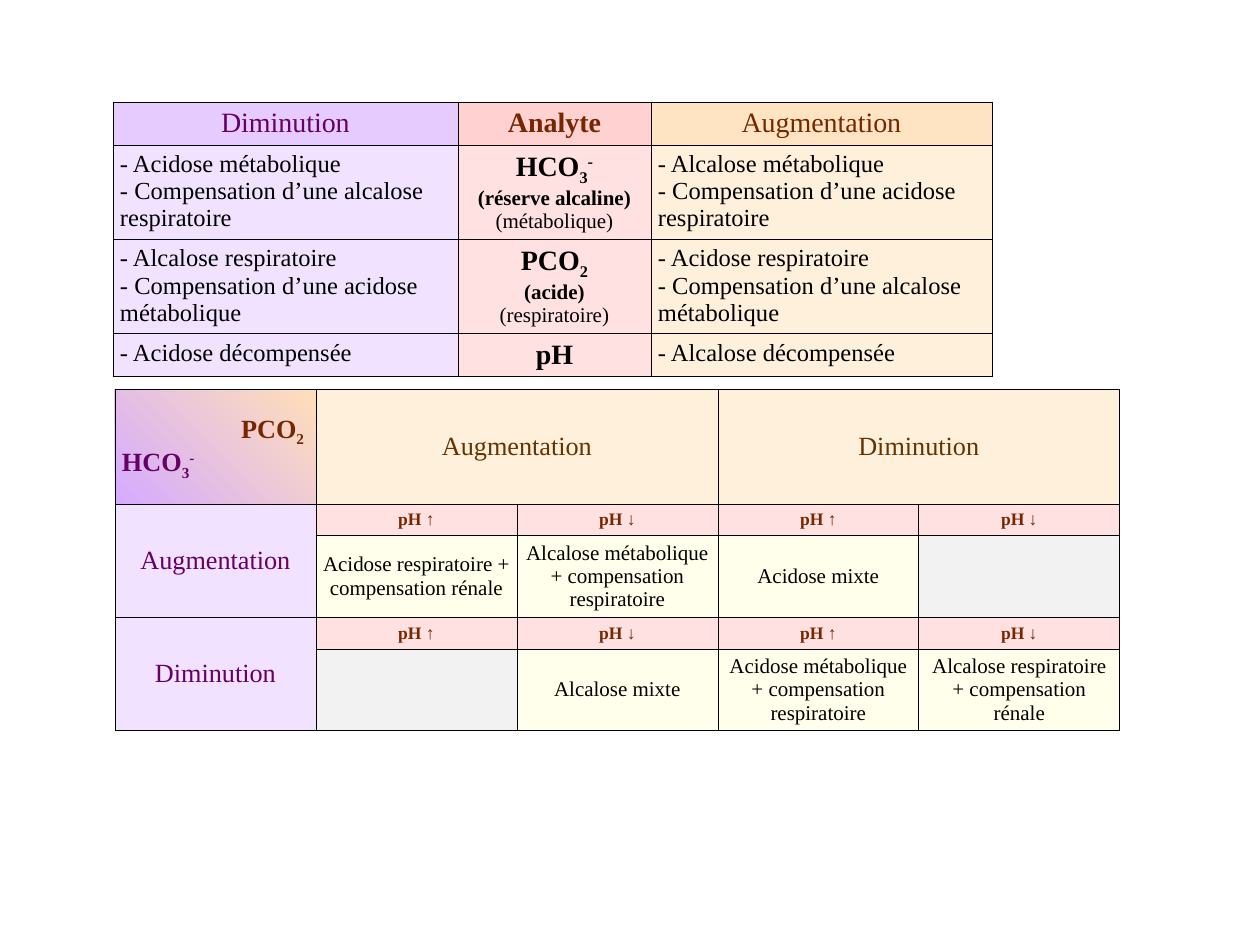
from lxml import etree
from pptx import Presentation
from pptx.dml.color import RGBColor
from pptx.enum.text import MSO_ANCHOR, PP_ALIGN
from pptx.oxml.ns import qn
from pptx.util import Emu, Pt

LEFT, CENTER, RIGHT = PP_ALIGN.LEFT, PP_ALIGN.CENTER, PP_ALIGN.RIGHT
TOP, MIDDLE = MSO_ANCHOR.TOP, MSO_ANCHOR.MIDDLE
SUB, SUPER = -25000, 30000
COLORS = {
    "black": "000000", "purple": "660066", "rust": "762700", "brown": "663300",
    "violet_head": "E5CBFF", "violet": "F1E3FF", "pink_head": "FFD1D1",
    "pink": "FFE1E1", "orange_head": "FFE4C3", "orange": "FFF0DB",
    "cream": "FFFFEB", "gray": "F2F2F2", "violet_deep": "D5ABFF", "orange_deep": "FFDFB9",
}


def px(count):
    """Turn whole pixels into EMU."""
    return Emu(round(count * 914400 / 126))


def rgb(name):
    """Look up a named colour."""
    return RGBColor.from_string(COLORS[name])


def add_span(para, text, size=14, color="black", bold=False, font="Times New Roman", baseline=0):
    """Add a formatted piece of text to a paragraph."""
    span = para.add_run()
    span.text = text
    span.font.size = Pt(size)
    span.font.bold = bold
    span.font.name = font
    span.font.color.rgb = rgb(color)
    if baseline:
        span.font._element.set("baseline", str(baseline))


class Page:
    """Hold the table style and the current slide."""

    def __init__(self, deck):
        """Add a blank slide to the deck."""
        self.slide = deck.slides.add_slide(deck.slide_layouts[6])
        self.side_margin, self.end_margin, self.border = 7, 6, Pt(0.45)

    def table(self, left, top, columns, rows):
        """Add a plain bordered table."""
        frame = self.slide.shapes.add_table(
            len(rows), len(columns), px(left), px(top), px(sum(columns)), px(sum(rows)))
        table = frame.table
        table.first_row = table.horz_banding = False
        for column, width in zip(table.columns, columns):
            column.width = px(width)
        for row, height in zip(table.rows, rows):
            row.height = px(height)
        for cell in table.iter_cells():
            cell.margin_left = cell.margin_right = px(self.side_margin)
            cell.margin_top = cell.margin_bottom = px(self.end_margin)
            self.outline(cell)
        return table

    def outline(self, cell):
        """Draw the four borders of a cell."""
        properties = cell._tc.get_or_add_tcPr()
        for side in ("a:lnL", "a:lnR", "a:lnT", "a:lnB"):
            line = etree.SubElement(properties, qn(side), w=str(self.border))
            fill = etree.SubElement(line, qn("a:solidFill"))
            etree.SubElement(fill, qn("a:srgbClr"), val=COLORS["black"])

    def cell(self, cell, fill, *paragraphs, align=CENTER, anchor=MIDDLE, **style):
        """Fill a cell with paragraphs given as text or as (text, format) spans."""
        cell.fill.solid()
        cell.fill.fore_color.rgb = rgb(fill)
        cell.vertical_anchor = anchor
        for index, spans in enumerate(paragraphs):
            para = cell.text_frame.paragraphs[0] if index == 0 else cell.text_frame.add_paragraph()
            para.alignment = align
            for text, changes in [(spans, {})] if isinstance(spans, str) else spans:
                add_span(para, text, **{**style, **changes})

    def gradient(self, cell, start, end, angle):
        """Give a cell a two-colour gradient."""
        cell.fill.gradient()
        cell.fill.gradient_angle = angle
        for stop, name in zip(cell.fill.gradient_stops, (start, end)):
            stop.color.rgb = rgb(name)


def formula(base, subscript, superscript=""):
    """Return the spans of a chemical formula."""
    spans = [(base, {}), (subscript, {"baseline": SUB})]
    return spans + [(superscript, {"baseline": SUPER})] if superscript else spans


def add_analytes(page):
    """Build the table of causes by analyte."""
    table = page.table(113, 102, [345, 193, 341], [34, 88, 88, 34])
    headings = [
        ("Diminution", "violet_head", "purple", False),
        ("Analyte", "pink_head", "rust", True),
        ("Augmentation", "orange_head", "rust", False),
    ]
    for column, (text, fill, color, bold) in enumerate(headings):
        page.cell(table.cell(0, column), fill, text, size=16, color=color, bold=bold)
    analytes = [
        (formula("HCO", "3", "-"), ["(réserve alcaline)", "(métabolique)"],
         ["- Acidose métabolique", "- Compensation d’une alcalose respiratoire"],
         ["- Alcalose métabolique", "- Compensation d’une acidose respiratoire"]),
        (formula("PCO", "2"), ["(acide)", "(respiratoire)"],
         ["- Alcalose respiratoire", "- Compensation d’une acidose métabolique"],
         ["- Acidose respiratoire", "- Compensation d’une alcalose métabolique"]),
        ("pH", [], ["- Acidose décompensée"], ["- Alcalose décompensée"]),
    ]
    for row, (name, notes, lower, higher) in enumerate(analytes, 1):
        details = [[(note, {"size": 12, "bold": index == 0})] for index, note in enumerate(notes)]
        page.cell(table.cell(row, 0), "violet", *lower, align=LEFT, anchor=TOP)
        page.cell(table.cell(row, 1), "pink", name, *details, size=16, bold=True)
        page.cell(table.cell(row, 2), "orange", *higher, align=LEFT, anchor=TOP)


def add_disorders(page):
    """Build the table that crosses HCO3 with PCO2."""
    table = page.table(115, 389, [201] * 5, [115, 20, 79, 20, 78])
    corner = table.cell(0, 0)
    page.cell(corner, "violet",
              [(text, {**changes, "color": "rust"}) for text, changes in formula("PCO", "2")],
              formula("HCO", "3", "-"),
              align=LEFT, anchor=TOP, size=15, bold=True, color="purple")
    corner.text_frame.paragraphs[0].alignment = RIGHT
    corner.margin_top, corner.margin_right = px(26), px(12)
    page.gradient(corner, "violet_deep", "orange_deep", 45)
    for column, text in ((1, "Augmentation"), (3, "Diminution")):
        table.cell(0, column).merge(table.cell(0, column + 1))
        page.cell(table.cell(0, column), "orange", text, size=15, color="brown")
    groups = [
        (1, "Augmentation", ["Acidose respiratoire + compensation rénale",
                             "Alcalose métabolique + compensation respiratoire",
                             "Acidose mixte", ""]),
        (3, "Diminution", ["", "Alcalose mixte",
                           "Acidose métabolique + compensation respiratoire",
                           "Alcalose respiratoire + compensation rénale"]),
    ]
    for row, change, disorders in groups:
        table.cell(row, 0).merge(table.cell(row + 1, 0))
        page.cell(table.cell(row, 0), "violet", change, size=15, color="purple")
        for column, disorder in enumerate(disorders, 1):
            arrow = "↑" if column % 2 else "↓"
            page.cell(table.cell(row, column), "pink", [("pH ", {}), (arrow, {"font": "Arial"})],
                      size=10, color="rust", bold=True)
            result = table.cell(row + 1, column)
            if disorder:
                page.cell(result, "cream", disorder, size=12)
            else:
                page.cell(result, "gray")


def main():
    """Build and save the deck."""
    deck = Presentation()
    deck.slide_width, deck.slide_height = px(1260), px(945)
    page = Page(deck)
    add_analytes(page)
    add_disorders(page)
    deck.save("out.pptx")


if __name__ == "__main__":
    main()
